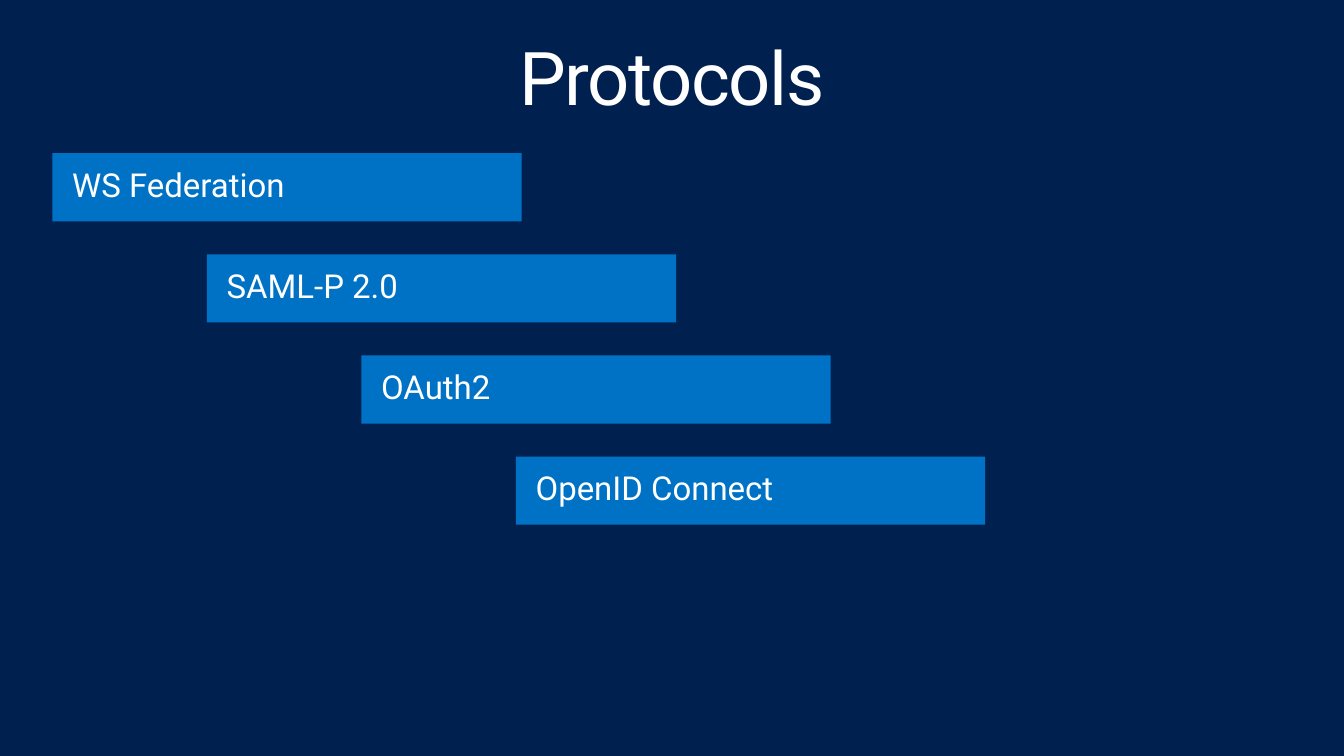
from pptx import Presentation
from pptx.dml.color import RGBColor
from pptx.enum.shapes import MSO_SHAPE
from pptx.enum.text import MSO_ANCHOR, MSO_AUTO_SIZE, PP_ALIGN
from pptx.util import Inches, Pt

RECTANGLE = MSO_SHAPE.RECTANGLE
TOP = MSO_ANCHOR.TOP
FIT_SHAPE = MSO_AUTO_SIZE.SHAPE_TO_FIT_TEXT
LEFT, CENTER = PP_ALIGN.LEFT, PP_ALIGN.CENTER

NAVY = RGBColor(0x00, 0x20, 0x50)
BLUE = RGBColor(0x00, 0x72, 0xC6)
WHITE = RGBColor(0xFF, 0xFF, 0xFF)

FONT = "Roboto"
SLIDE_WIDTH, SLIDE_HEIGHT = 13.6, 7.65
TITLE_BOX = (0.3, 0.32, 13, 1)
STAIRCASE_BOX = (0.53, 1.55, 9.44, 3.76)
BAR_WIDTH, BAR_HEIGHT = 4.75, 0.69
PROTOCOLS = ["WS Federation", "SAML-P 2.0", "OAuth2", "OpenID Connect"]


def write_line(frame, words, size, align, side_inset, top_inset):
    frame.word_wrap = True
    frame.vertical_anchor = TOP
    frame.margin_left = frame.margin_right = Inches(side_inset)
    frame.margin_top = frame.margin_bottom = Inches(top_inset)
    line = frame.paragraphs[0]
    line.alignment = align
    line.line_spacing = 0.9
    run = line.add_run()
    run.text = words
    run.font.name = FONT
    run.font.size = Pt(size)
    run.font.color.rgb = WHITE
    return run


def add_title(slide, box, words):
    title = slide.shapes.add_textbox(*map(Inches, box))
    run = write_line(title.text_frame, words, 54, CENTER, 0.16, 0.1)
    run._r.get_or_add_rPr().set("spc", "-100")


def add_staircase(slide, box, protocols):
    left, top, width, height = box
    steps = len(protocols) - 1
    step_right = (width - BAR_WIDTH) / steps
    step_down = (height - BAR_HEIGHT) / steps
    for step, protocol in enumerate(protocols):
        bar = slide.shapes.add_shape(
            RECTANGLE,
            Inches(left + step * step_right),
            Inches(top + step * step_down),
            Inches(BAR_WIDTH),
            Inches(BAR_HEIGHT),
        )
        bar.shadow.inherit = False
        bar.fill.solid()
        bar.fill.fore_color.rgb = BLUE
        bar.line.fill.background()
        write_line(bar.text_frame, protocol, 24, LEFT, 0.2, 0.16)
        bar.text_frame.auto_size = FIT_SHAPE
        bar.text_frame.paragraphs[0].space_after = Pt(6)


def main():
    deck = Presentation()
    deck.slide_width = Inches(SLIDE_WIDTH)
    deck.slide_height = Inches(SLIDE_HEIGHT)
    slide = deck.slides.add_slide(deck.slide_layouts[6])
    slide.background.fill.solid()
    slide.background.fill.fore_color.rgb = NAVY
    add_title(slide, TITLE_BOX, "Protocols")
    add_staircase(slide, STAIRCASE_BOX, PROTOCOLS)
    deck.save("out.pptx")


if __name__ == "__main__":
    main()
